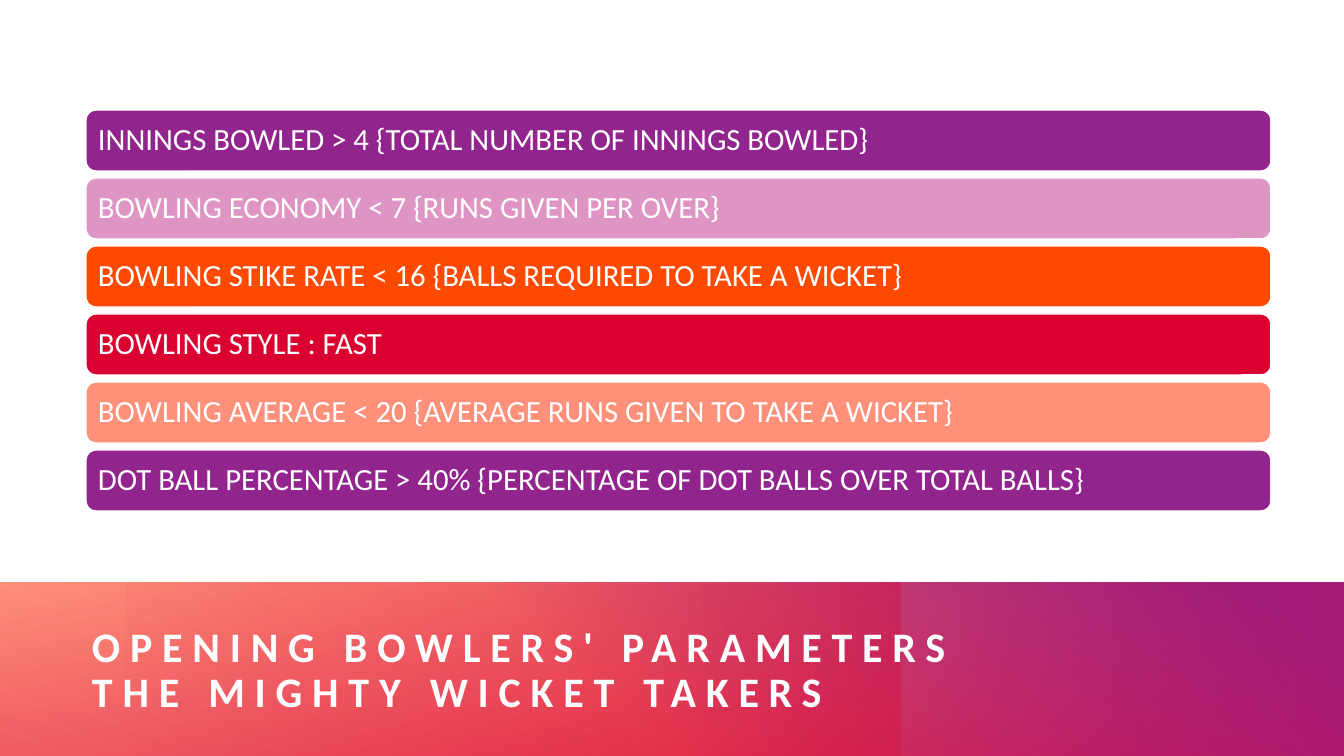
"""Build the opening bowlers' parameters slide."""
from lxml.etree import SubElement
from pptx import Presentation
from pptx.dml.color import RGBColor
from pptx.enum.shapes import MSO_SHAPE as Shape
from pptx.enum.text import MSO_ANCHOR as Anchor, PP_ALIGN as Align
from pptx.oxml.ns import qn
from pptx.util import Pt

PX = 12192000 / 1344
WHITE = RGBColor(0xFF, 0xFF, 0xFF)
PURPLE = RGBColor(0x92, 0x24, 0x8E)
PINK = RGBColor(0xDE, 0x95, 0xC4)
ORANGE = RGBColor(0xFE, 0x4A, 0x00)
RED = RGBColor(0xDA, 0x00, 0x2F)
SALMON = RGBColor(0xFF, 0x90, 0x7A)


def px(*lengths):
    return [round(length * PX) for length in lengths]


def add_run(paragraph, text, size, bold=False):
    run = paragraph.add_run()
    run.text = text
    run.font.name = "Calibri"
    run.font.size = Pt(size)
    run.font.bold = bold
    run.font.color.rgb = WHITE
    return run


presentation = Presentation()
presentation.slide_width, presentation.slide_height = px(1344, 756)
slide = presentation.slides.add_slide(presentation.slide_layouts[6])

banner_layers = [
    ((-1, 583, 1346, 176), 0, 260, [(0, RED, 88), (100, SALMON, 100)]),
    ((446, 583, 900, 175), 0, 310, [(22, PURPLE, 0), (91, PURPLE, 100)]),
    ((126, 583, 774, 174), 180, 330, [(0, RED, 30), (99, RED, 0)]),
    ((446, 583, 900, 175), 180, 0, [(0, RED, 26), (72, RED, 0)]),
]
for box, rotation, angle, stops in banner_layers:
    layer = slide.shapes.add_shape(Shape.RECTANGLE, *px(*box))
    layer.shadow.inherit = False
    layer.line.fill.background()
    layer.rotation = rotation
    layer.fill.gradient()
    gradient = layer.fill._xPr.find(qn("a:gradFill"))
    gradient.set("rotWithShape", "1")
    stop_list = gradient.find(qn("a:gsLst"))
    for old_stop in list(stop_list):
        stop_list.remove(old_stop)
    for position, color, opacity in stops:
        stop = SubElement(stop_list, qn("a:gs"), pos=str(position * 1000))
        stop_color = SubElement(stop, qn("a:srgbClr"), val=str(color))
        SubElement(stop_color, qn("a:alpha"), val=str(opacity * 1000))
    gradient.find(qn("a:lin")).set("ang", str(angle * 60000))

title = slide.shapes.add_textbox(*px(92, 623, 1167, 97))
frame = title.text_frame
frame.word_wrap = True
frame.vertical_anchor = Anchor.MIDDLE
frame.margin_left = frame.margin_right = frame.margin_top = frame.margin_bottom = 0
paragraph = frame.paragraphs[0]
paragraph.line_spacing = 0.9
for index, line in enumerate(["OPENING BOWLERS' PARAMETERS", "THE MIGHTY WICKET TAKERS"]):
    if index:
        paragraph.add_line_break()
    run = add_run(paragraph, line, 30, bold=True)
    run.font._element.set("spc", "700")

parameters = [
    ("INNINGS BOWLED > 4 {TOTAL NUMBER OF INNINGS BOWLED}", PURPLE),
    ("BOWLING ECONOMY < 7 {RUNS GIVEN PER OVER}", PINK),
    ("BOWLING STIKE RATE < 16 {BALLS REQUIRED TO TAKE A WICKET}", ORANGE),
    ("BOWLING STYLE : FAST", RED),
    ("BOWLING AVERAGE < 20 {AVERAGE RUNS GIVEN TO TAKE A WICKET}", SALMON),
    ("DOT BALL PERCENTAGE > 40% {PERCENTAGE OF DOT BALLS OVER TOTAL BALLS}", PURPLE),
]
for row, (text, color) in enumerate(parameters):
    bar = slide.shapes.add_shape(Shape.ROUNDED_RECTANGLE, *px(86, 110 + 68 * row, 1185, 61))
    bar.shadow.inherit = False
    bar.fill.solid()
    bar.fill.fore_color.rgb = color
    bar.line.color.rgb = WHITE
    bar.line.width = Pt(1)
    frame = bar.text_frame
    frame.word_wrap = True
    frame.vertical_anchor = Anchor.MIDDLE
    frame.margin_left, frame.margin_right, frame.margin_top, frame.margin_bottom = px(9, 9, 9, 9)
    paragraph = frame.paragraphs[0]
    paragraph.alignment = Align.LEFT
    paragraph.line_spacing = 0.9
    add_run(paragraph, text, 22)

presentation.save("out.pptx")
